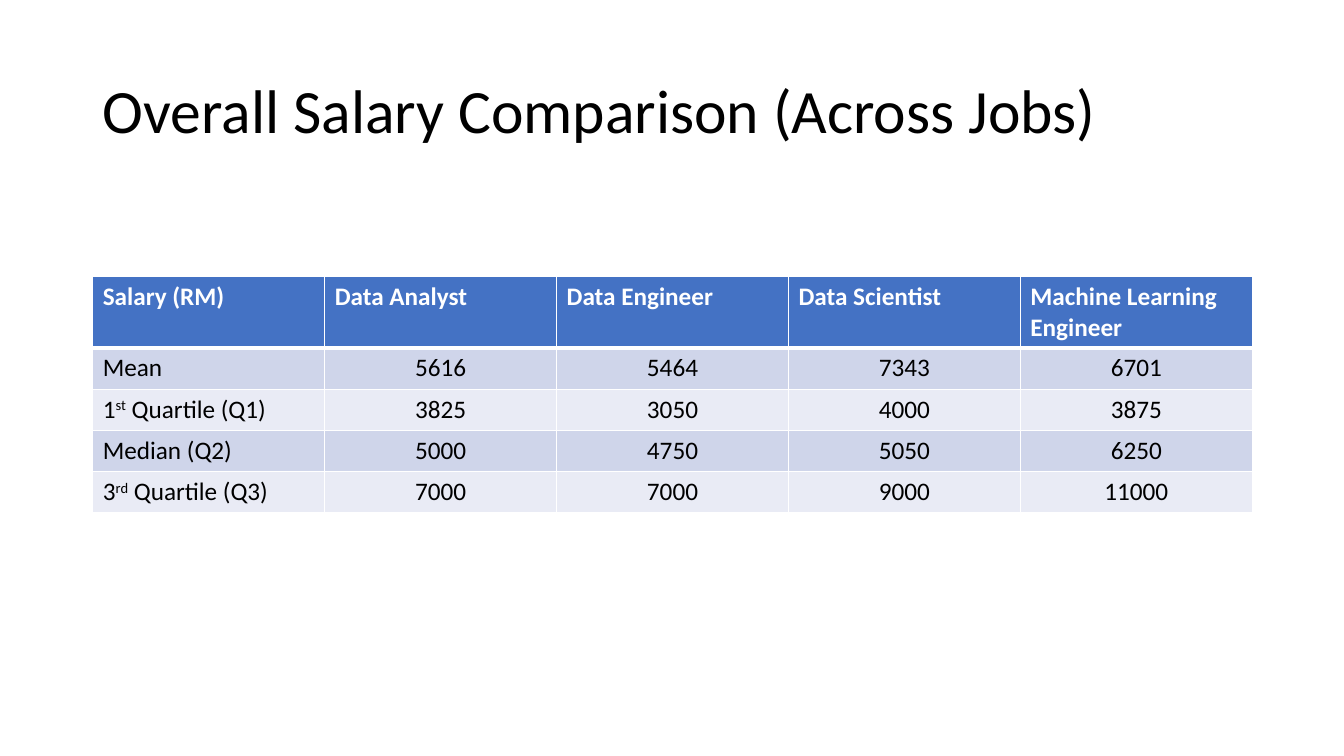
from lxml.etree import SubElement
from pptx import Presentation
from pptx.dml.color import RGBColor
from pptx.enum.text import MSO_ANCHOR, PP_ALIGN
from pptx.oxml.ns import qn
from pptx.util import Inches, Pt

TITLE = "Overall Salary Comparison (Across Jobs)"
HEADINGS = ["Salary (RM)", "Data Analyst", "Data Engineer", "Data Scientist",
            "Machine Learning Engineer"]
SALARIES = [
    (("Mean",), 5616, 5464, 7343, 6701),
    (("1", "st", " Quartile (Q1)"), 3825, 3050, 4000, 3875),
    (("Median (Q2)",), 5000, 4750, 5050, 6250),
    (("3", "rd", " Quartile (Q3)"), 7000, 7000, 9000, 11000),
]

FONT = "Calibri"
BLACK = RGBColor(0x00, 0x00, 0x00)
WHITE = RGBColor(0xFF, 0xFF, 0xFF)
HEADER_BLUE = RGBColor(0x44, 0x72, 0xC4)
BANDS = [RGBColor(0xCF, 0xD5, 0xEA), RGBColor(0xE9, 0xEB, 0xF5)]

LEFT, WIDTH = 0.92, 11.5
ROW_HEIGHT = 0.41


def format_run(run, size, color, bold=False):
    run.font.name = FONT
    run.font.size = Pt(size)
    run.font.bold = bold
    run.font.color.rgb = color


def add_borders(cell, top, bottom):
    properties = cell._tc.get_or_add_tcPr()
    for side, points in (("L", 1), ("R", 1), ("T", top), ("B", bottom)):
        line = SubElement(properties, qn(f"a:ln{side}"), w=str(Pt(points)))
        fill = SubElement(line, qn("a:solidFill"))
        SubElement(fill, qn("a:srgbClr"), val=str(WHITE))


def fill_cell(cell, parts, row):
    is_header = row == 0
    add_borders(cell, 3 if row == 1 else 1, 3 if is_header else 1)
    cell.fill.solid()
    cell.fill.fore_color.rgb = HEADER_BLUE if is_header else BANDS[(row - 1) % 2]
    paragraph = cell.text_frame.paragraphs[0]
    for position, part in enumerate(parts):
        run = paragraph.add_run()
        run.text = part
        format_run(run, 18, WHITE if is_header else BLACK, is_header)
        if position == 1:
            run.font._element.set("baseline", "30000")
    return paragraph


def main():
    presentation = Presentation()
    presentation.slide_width = Inches(13.33)
    presentation.slide_height = Inches(7.5)
    slide = presentation.slides.add_slide(presentation.slide_layouts[5])

    title = slide.shapes.title
    title.left, title.top = Inches(LEFT), Inches(0.4)
    title.width, title.height = Inches(WIDTH), Inches(1.45)
    title.text_frame.text = TITLE
    title.text_frame.vertical_anchor = MSO_ANCHOR.MIDDLE
    heading = title.text_frame.paragraphs[0]
    heading.alignment = PP_ALIGN.LEFT
    heading.line_spacing = 0.9
    format_run(heading.runs[0], 44, BLACK)

    row_count = len(SALARIES) + 1
    table = slide.shapes.add_table(
        row_count, len(HEADINGS), Inches(LEFT), Inches(2.74),
        Inches(WIDTH), Inches(ROW_HEIGHT * row_count)).table

    for column, job in enumerate(HEADINGS):
        fill_cell(table.cell(0, column), (job,), 0)
    for row, (measure, *amounts) in enumerate(SALARIES, start=1):
        fill_cell(table.cell(row, 0), measure, row)
        for column, amount in enumerate(amounts, start=1):
            paragraph = fill_cell(table.cell(row, column), (str(amount),), row)
            paragraph.alignment = PP_ALIGN.CENTER

    presentation.save("out.pptx")


if __name__ == "__main__":
    main()
